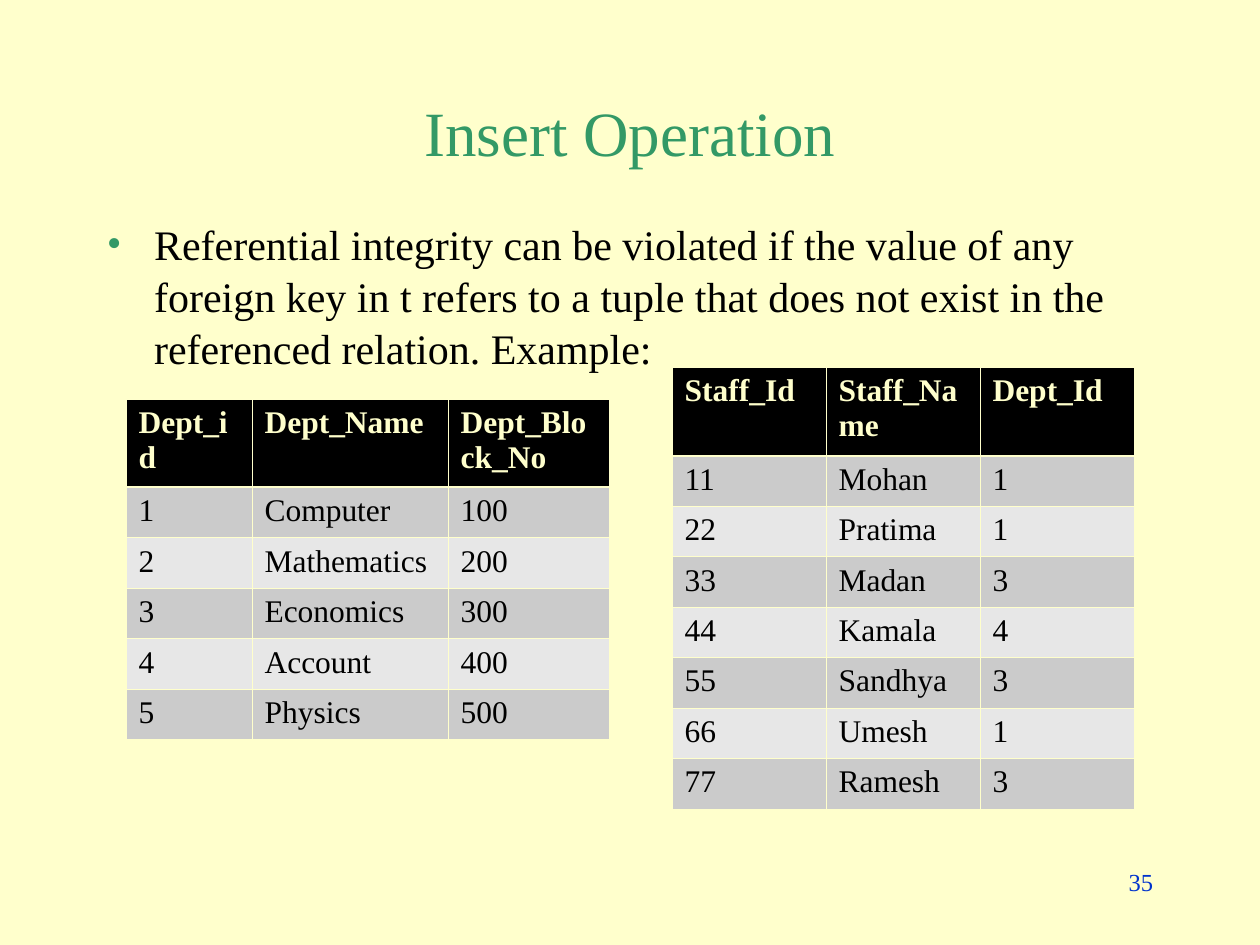
import pptx
import pptx.dml.color
import pptx.enum.text
import pptx.oxml
import pptx.oxml.ns
import pptx.util
from lxml import etree

Pt = pptx.util.Pt
RGBColor = pptx.dml.color.RGBColor
PP_ALIGN = pptx.enum.text.PP_ALIGN
MSO_ANCHOR = pptx.enum.text.MSO_ANCHOR

CREAM = RGBColor(0xFF, 0xFF, 0xCC)
GREEN = RGBColor(0x33, 0x99, 0x66)
BLUE = RGBColor(0x00, 0x33, 0xCC)
BLACK = RGBColor(0x00, 0x00, 0x00)
DARK_BAND = RGBColor(0xCB, 0xCB, 0xCB)
LIGHT_BAND = RGBColor(0xE7, 0xE7, 0xE7)

FONT = "Times New Roman"
HEADER_HEIGHT = 50.4
ROW_HEIGHT = 28.8
THIN_LINE = 0.45
HEADER_LINE = 1.47

DEPARTMENTS = [
    ("Dept_id", "Dept_Name", "Dept_Block_No"),
    ("1", "Computer", "100"),
    ("2", "Mathematics", "200"),
    ("3", "Economics", "300"),
    ("4", "Account", "400"),
    ("5", "Physics", "500"),
]
STAFF = [
    ("Staff_Id", "Staff_Name", "Dept_Id"),
    ("11", "Mohan", "1"),
    ("22", "Pratima", "1"),
    ("33", "Madan", "3"),
    ("44", "Kamala", "4"),
    ("55", "Sandhya", "3"),
    ("66", "Umesh", "1"),
    ("77", "Ramesh", "3"),
]


def format_runs(paragraph, size, color, bold=False):
    for run in paragraph.runs:
        run.font.name = FONT
        run.font.size = Pt(size)
        run.font.bold = bold
        run.font.color.rgb = color


def add_text(slide, box, text, size, color, alignment, anchor=MSO_ANCHOR.TOP):
    shape = slide.shapes.add_textbox(*(Pt(length) for length in box))
    text_frame = shape.text_frame
    text_frame.word_wrap = True
    text_frame.vertical_anchor = anchor
    text_frame.text = text
    paragraph = text_frame.paragraphs[0]
    paragraph.alignment = alignment
    format_runs(paragraph, size, color)
    return paragraph


def add_title(slide, box):
    add_text(slide, box, "Insert Operation", 36, GREEN, PP_ALIGN.CENTER, MSO_ANCHOR.MIDDLE)


def add_bullet_text(slide, box):
    text = ("Referential integrity can be violated if the value of any foreign key in t "
            "refers to a tuple that does not exist in the referenced relation. Example:")
    paragraph = add_text(slide, box, text, 24, BLACK, PP_ALIGN.LEFT)
    paragraph.space_before = Pt(18)
    paragraph.line_spacing = 1.04
    # Hanging indent with a green bullet
    properties = paragraph._p.get_or_add_pPr()
    properties.set("marL", str(Pt(27)))
    properties.set("indent", str(Pt(-27)))
    qn = pptx.oxml.ns.qn
    bullet_color = etree.SubElement(properties, qn("a:buClr"))
    etree.SubElement(bullet_color, qn("a:srgbClr")).set("val", str(GREEN))
    etree.SubElement(properties, qn("a:buFont")).set("typeface", FONT)
    etree.SubElement(properties, qn("a:buChar")).set("char", "•")


def add_slide_number(slide, box):
    add_text(slide, box, "35", 14, BLUE, PP_ALIGN.RIGHT)


def set_borders(cell, top, bottom):
    """Draw all four cell sides; this must come before the fill."""
    properties = cell._tc.get_or_add_tcPr()
    widths = {"lnL": THIN_LINE, "lnR": THIN_LINE, "lnT": top, "lnB": bottom}
    for side, width in widths.items():
        properties.append(pptx.oxml.parse_xml(
            f'<a:{side} {pptx.oxml.ns.nsdecls("a")} w="{Pt(width)}">'
            f'<a:solidFill><a:srgbClr val="{CREAM}"/></a:solidFill></a:{side}>'))


def add_relation(slide, left, top, column_widths, rows):
    height = HEADER_HEIGHT + ROW_HEIGHT * (len(rows) - 1)
    table = slide.shapes.add_table(
        len(rows), len(column_widths),
        Pt(left), Pt(top), Pt(sum(column_widths)), Pt(height)).table
    for column, width in zip(table.columns, column_widths):
        column.width = Pt(width)
    for row_index, values in enumerate(rows):
        is_header = row_index == 0
        table.rows[row_index].height = Pt(HEADER_HEIGHT if is_header else ROW_HEIGHT)
        band = DARK_BAND if row_index % 2 else LIGHT_BAND
        for column_index, value in enumerate(values):
            cell = table.cell(row_index, column_index)
            cell.text = value
            format_runs(cell.text_frame.paragraphs[0], 18,
                        CREAM if is_header else BLACK, bold=is_header)
            set_borders(cell,
                        top=HEADER_LINE if row_index == 1 else THIN_LINE,
                        bottom=HEADER_LINE if is_header else THIN_LINE)
            cell.fill.solid()
            cell.fill.fore_color.rgb = BLACK if is_header else band


def main():
    presentation = pptx.Presentation()
    presentation.slide_width = Pt(720)
    presentation.slide_height = Pt(540)
    slide = presentation.slides.add_slide(presentation.slide_layouts[6])
    slide.background.fill.solid()
    slide.background.fill.fore_color.rgb = CREAM

    # Text
    add_title(slide, (54, 48, 612, 54))
    add_bullet_text(slide, (54, 120, 612, 360))
    add_slide_number(slide, (516, 492, 150, 36))

    # Referenced and referencing relations
    add_relation(slide, 72, 228, [72, 112, 92], DEPARTMENTS)
    add_relation(slide, 384, 210, [88] * 3, STAFF)

    presentation.save("out.pptx")


if __name__ == "__main__":
    main()
